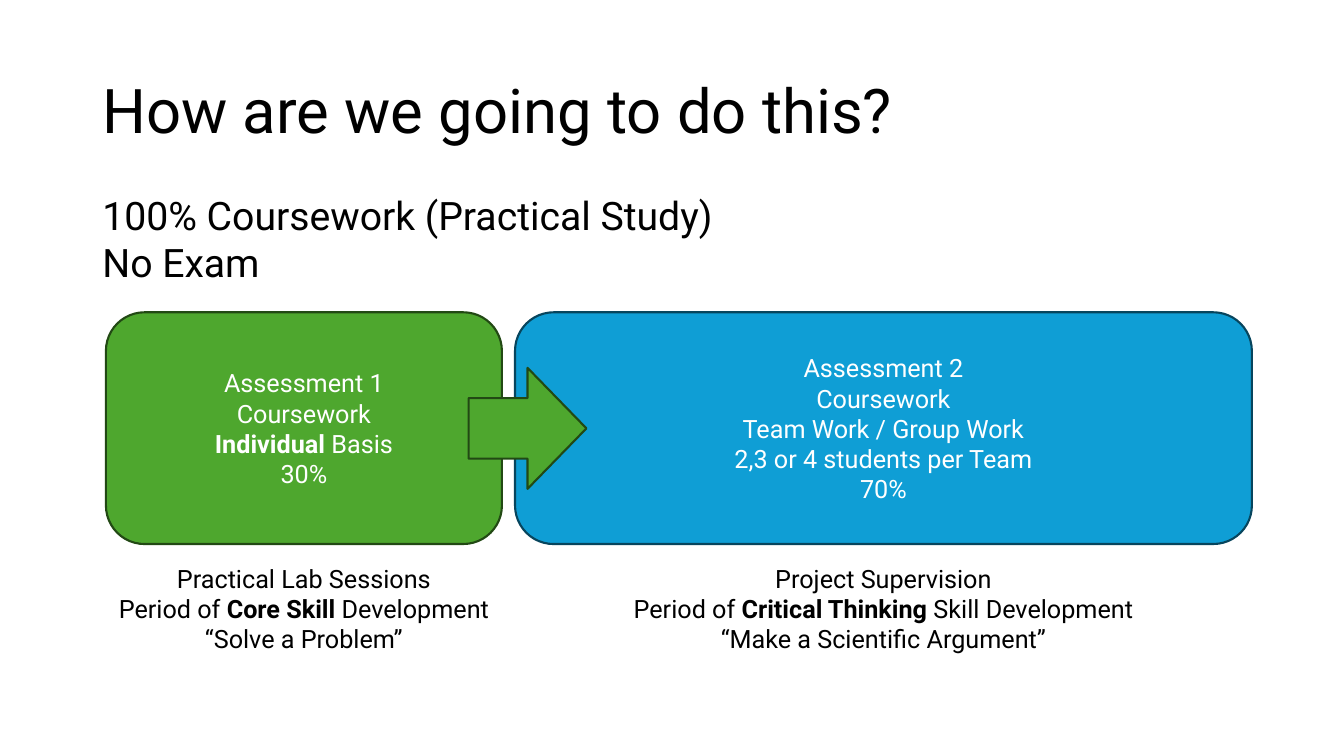
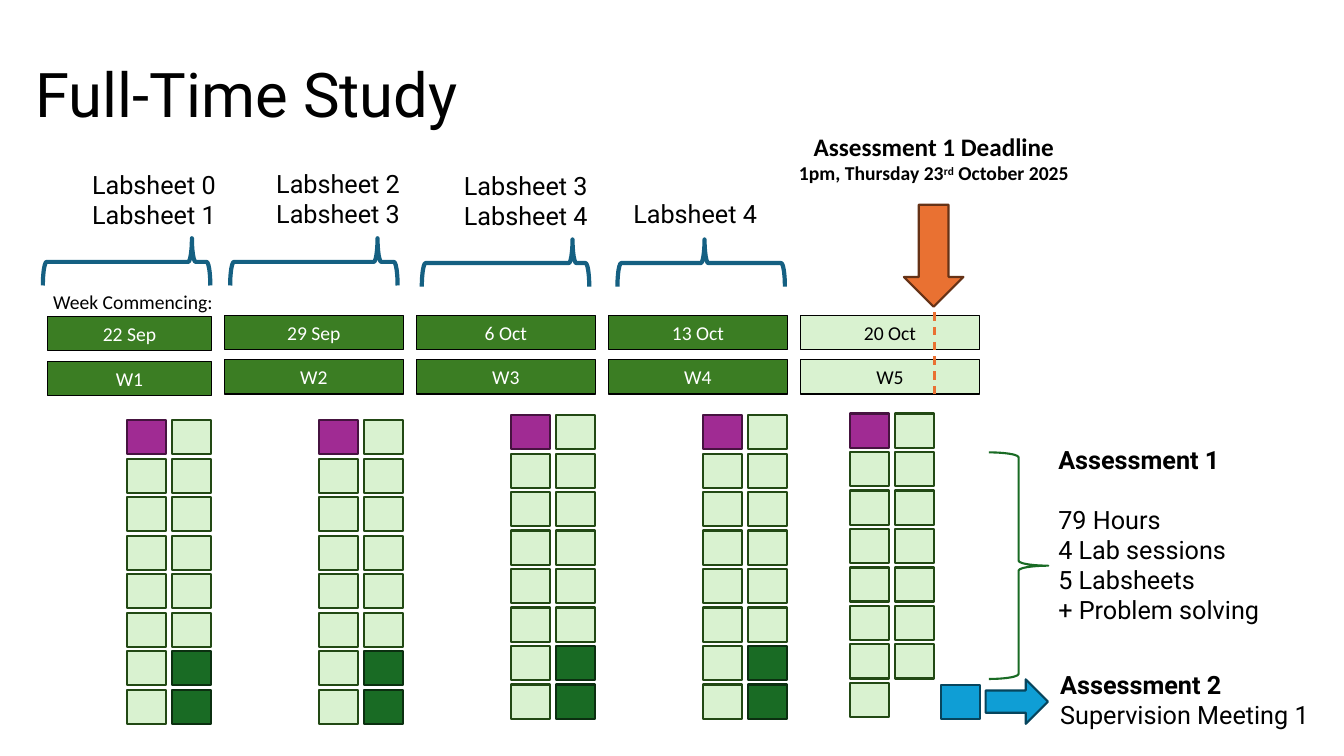
from lxml.etree import SubElement
from pptx import Presentation
from pptx.dml.color import RGBColor as RGB
from pptx.enum.dml import MSO_LINE as Dash
from pptx.enum.shapes import MSO_CONNECTOR as Link, MSO_SHAPE as Kind
from pptx.enum.text import MSO_ANCHOR as Anchor, PP_ALIGN as Align
from pptx.oxml.ns import qn
from pptx.util import Cm, Pt


class Theme:
    sans, plain = "Roboto", "Calibri"
    title, lead, body, small = 44, 28, 18, 14
    black, white = "000000", "FFFFFF"
    # fill, outline
    green = ("4EA72E", "224914")
    blue = ("0F9ED5", "07455D")
    pale = ("D9F2D0", "224914")
    dark = ("196B24", "0B2F10")
    plum = ("A02B93", "461340")
    orange = ("E97132", "663216")
    past = ("3B7D23", "000000")
    now = ("D9F2D0", "000000")
    brace, span = "196B24", "156082"


# Text marks: *bold*, ^superscript^
INTRO = ["100% Coursework (Practical Study)", "No Exam"]
# left, width, colours, card text, caption
CARDS = [
    (2.67, 9.98, Theme.green,
     ["Assessment 1", "Coursework", "*Individual* Basis", "30%"],
     ["Practical Lab Sessions", "Period of *Core Skill *Development",
      "“Solve a Problem”"]),
    (12.98, 18.57, Theme.blue,
     ["Assessment 2", "Coursework", "Team Work / Group Work",
      "2,3 or 4 students per Team", "70%"],
     ["Project Supervision", "Period of *Critical Thinking* Skill Development",
      "“Make a Scientific Argument”"]),
]

# date, bar width, bar top, cells right edge (None: as bar), cells top, lab hours
WEEKS = [
    ("22 Sep", 4.11, 7.98, None, 10.59, 2),
    ("29 Sep", 4.5, 7.95, None, 10.59, 2),
    ("6 Oct", 4.5, 7.95, None, 10.46, 2),
    ("13 Oct", 4.5, 7.95, None, 10.46, 2),
    ("20 Oct", 4.5, 7.95, 23.54, 10.42, 0),
]
# text left, text top, brace centre x, y, tip position, lines
LABS = [
    (1.63, 4.14, 3.19, 6.6, 0.11, ["Labsheet 0", "Labsheet 1"]),
    (6.27, 4.11, 7.91, 6.6, 0.12, ["Labsheet 2", "Labsheet 3"]),
    (11.0, 4.17, 12.74, 6.63, 0.1, ["Labsheet 3", "Labsheet 4"]),
    (15.27, 4.88, 17.67, 6.63, 0.48, ["Labsheet 4"]),
]
DEADLINE = ["*Assessment 1 Deadline*", "*1pm, Thursday 23^rd^ October 2025*"]
HOURS = ["*Assessment 1*", "79 Hours", "4 Lab sessions", "5 Labsheets",
         "+ Problem solving"]
MEETING = ["*Assessment 2*", "Supervision Meeting 1"]

EDGE, STEP = 5.32, 4.84
CELL_W, CELL_H, COL, ROW, ROWS = 0.98, 0.86, 1.14, 0.97, 8
BAR_H, BAR_STEP = 0.86, 1.12


def write(frame, lines, size, color=Theme.black, font=Theme.sans, align=None):
    """Fill a text frame, one paragraph a line, reading the text marks."""
    for n, line in enumerate(lines):
        para = frame.paragraphs[0] if n == 0 else frame.add_paragraph()
        para.alignment = align
        para.font.name, para.font.size = font, Pt(size)
        para.font.color.rgb = RGB.from_string(color)
        for i, part in enumerate(line.split("*")):
            for j, text in enumerate(part.split("^")):
                if text:
                    run = para.add_run()
                    run.text = text
                    if i % 2:
                        run.font.bold = True
                    if j % 2:
                        run.font._element.set("baseline", "30000")
    return frame


def label(slide, box, lines, size=Theme.body, wrap=True, **look):
    frame = slide.shapes.add_textbox(*map(Cm, box)).text_frame
    frame.word_wrap = wrap
    return write(frame, lines, size, **look)


def shape(slide, kind, box, colors, weight=1.5):
    item = slide.shapes.add_shape(kind, *map(Cm, box))
    item.shadow.inherit = False
    fill, line = colors
    if fill:
        item.fill.solid()
        item.fill.fore_color.rgb = RGB.from_string(fill)
    else:
        item.fill.background()
    item.line.color.rgb = RGB.from_string(line)
    item.line.width = Pt(weight)
    return item


def page(deck, title, left, top):
    slide = deck.slides.add_slide(deck.slide_layouts[6])
    frame = label(slide, (left, top, 29.21, 3.68), [title], Theme.title)
    frame.vertical_anchor = Anchor.MIDDLE
    frame.paragraphs[0].line_spacing = 0.9
    return slide


def plan(deck):
    slide = page(deck, "How are we going to do this?", 2.33, 1.02)
    label(slide, (2.33, 4.7, 16.33, 2.64), INTRO, Theme.lead)
    for left, width, colors, text, note in CARDS:
        card = shape(slide, Kind.ROUNDED_RECTANGLE,
                     (left, 7.87, width, 5.84), colors)
        write(card.text_frame, text, Theme.body, Theme.white,
              align=Align.CENTER)
        label(slide, (left, 14.07, width, 2.57), note, align=Align.CENTER)
    shape(slide, Kind.RIGHT_ARROW, (11.81, 9.27, 2.97, 3.05), Theme.green)


def cells(slide, right, top, labs, last):
    """Draw a week's hours: lecture first, labs last in the right column."""
    for col in range(2):
        for row in range(ROWS - (last and col)):
            if row == col == 0:
                colors = Theme.plum
            elif col and row >= ROWS - labs:
                colors = Theme.dark
            else:
                colors = Theme.pale
            left = right - CELL_W - (1 - col) * COL
            shape(slide, Kind.RECTANGLE,
                  (left, top + row * ROW, CELL_W, CELL_H), colors)


def weeks(slide):
    for n, (date, width, top, right, first, labs) in enumerate(WEEKS):
        edge = EDGE + n * STEP
        last = n == len(WEEKS) - 1
        cells(slide, right or edge, first, labs, last)
        for k, text in enumerate((date, f"W{n + 1}")):
            bar = shape(slide, Kind.RECTANGLE,
                        (edge - width, top + k * BAR_STEP, width, BAR_H),
                        Theme.now if last else Theme.past, 0.75)
            write(bar.text_frame, [text], Theme.small,
                  Theme.black if last else Theme.white, Theme.plain,
                  Align.CENTER)
    label(slide, (1.09, 7.19, 4.57, 0.86), ["Week Commencing:"], Theme.small,
          wrap=False, font=Theme.plain)


def labsheets(slide):
    wide, tall = 1.19, 4.22
    for left, top, x, y, tip, lines in LABS:
        brace = shape(slide, Kind.LEFT_BRACE,
                      (x - wide / 2, y - tall / 2, wide, tall),
                      (None, Theme.span), 3)
        brace.rotation = 90
        brace.adjustments[0], brace.adjustments[1] = 0.08, tip
        label(slide, (left, top, 4.5, 0.9 * len(lines)), lines,
              align=Align.CENTER)


def deadline(slide):
    shape(slide, Kind.DOWN_ARROW, (22.78, 5.16, 1.5, 2.57), Theme.orange)
    frame = label(slide, (19.84, 3.18, 7.39, 1.63), DEADLINE, wrap=False,
                  font=Theme.plain, align=Align.CENTER)
    frame.paragraphs[1].font.size = Pt(Theme.small)
    x = Cm(23.55)
    mark = slide.shapes.add_connector(Link.STRAIGHT, x, Cm(7.87), x, Cm(9.96))
    SubElement(mark._element.spPr, qn("a:effectLst"))
    mark.line.color.rgb = RGB.from_string(Theme.orange[0])
    mark.line.width = Pt(1.5)
    mark.line.dash_style = Dash.DASH


def study(deck):
    slide = page(deck, "Full-Time Study", 0.64, 0.61)
    weeks(slide)
    labsheets(slide)
    deadline(slide)
    shape(slide, Kind.RIGHT_BRACE, (24.92, 11.4, 1.5, 5.71),
          (None, Theme.brace))
    frame = label(slide, (26.42, 11.07, 6.22, 4.88), HOURS)
    frame.paragraphs[1].space_before = Pt(21)
    shape(slide, Kind.RECTANGLE, (23.72, 17.27, CELL_W, CELL_H), Theme.blue)
    shape(slide, Kind.RIGHT_ARROW, (24.84, 17.12, 1.57, 1.12), Theme.blue)
    label(slide, (26.47, 16.74, 7.04, 1.8), MEETING)


def main():
    deck = Presentation()
    deck.slide_width, deck.slide_height = Cm(33.87), Cm(19.05)
    plan(deck)
    study(deck)
    deck.save("out.pptx")


if __name__ == "__main__":
    main()
